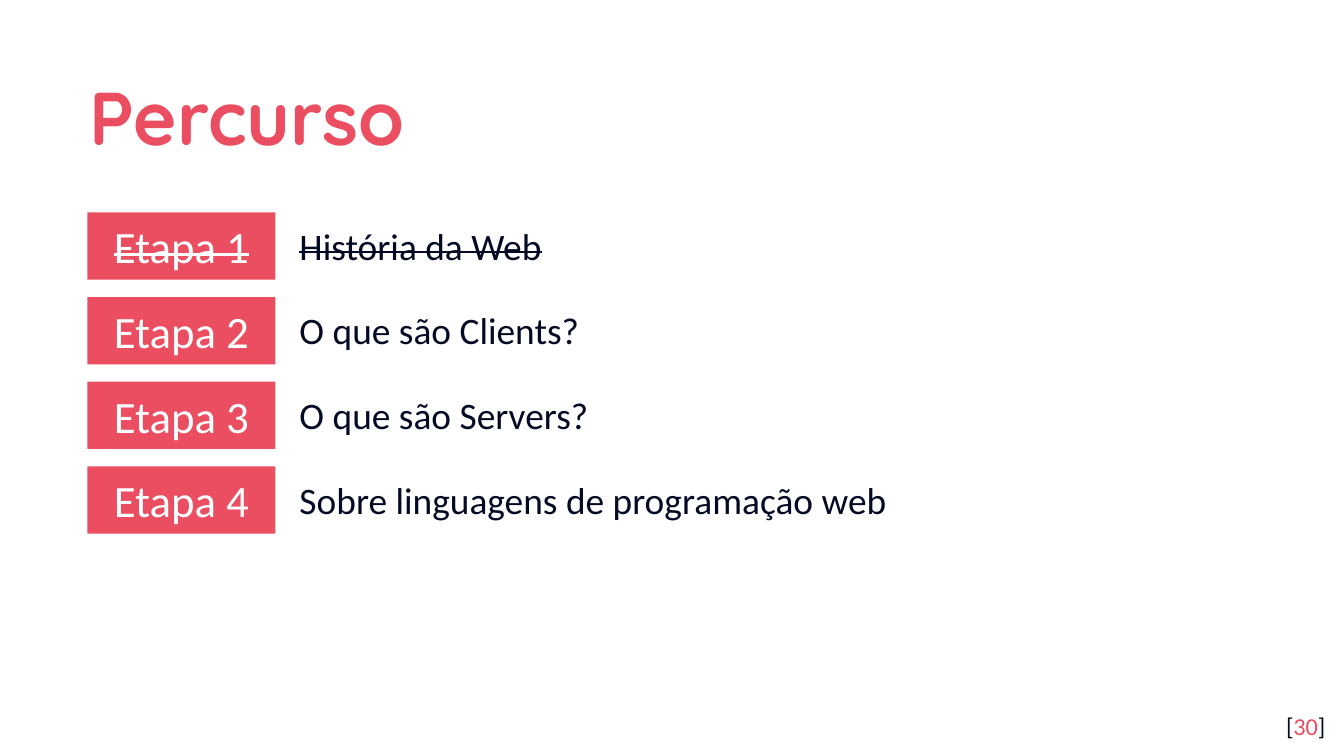
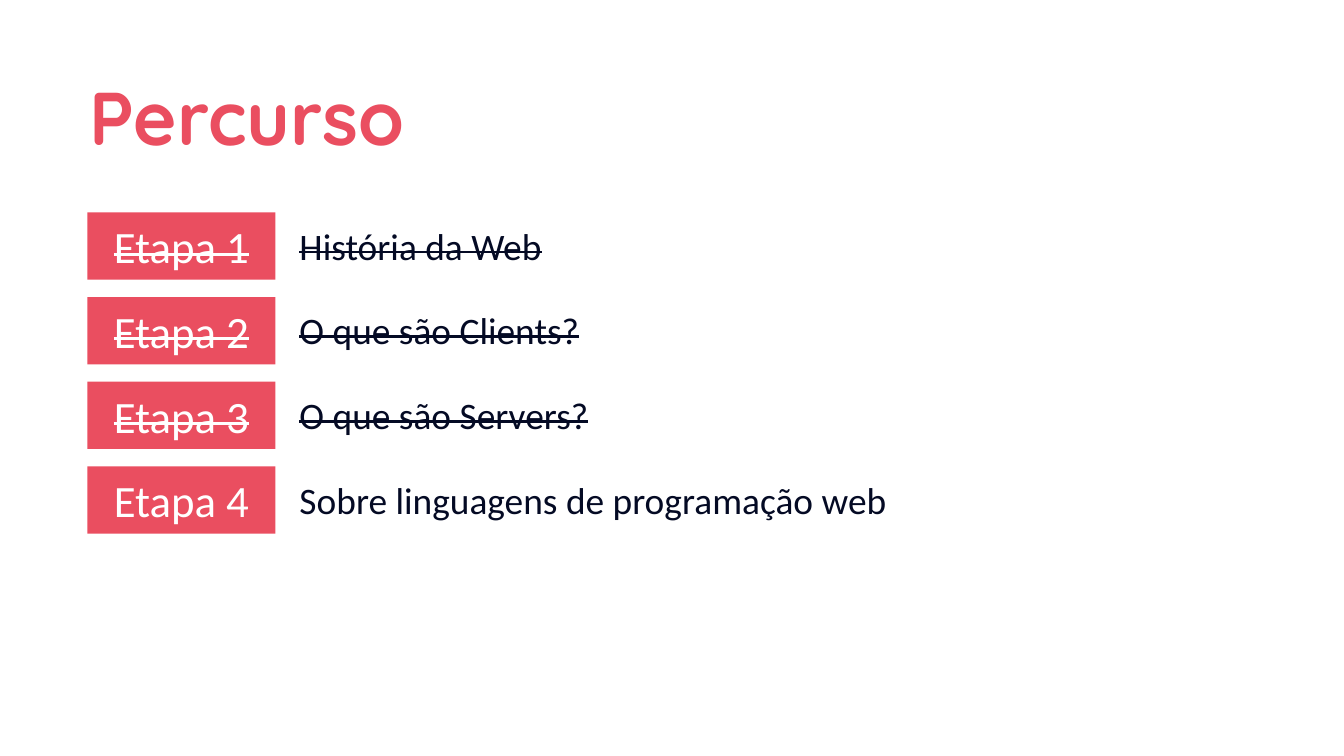
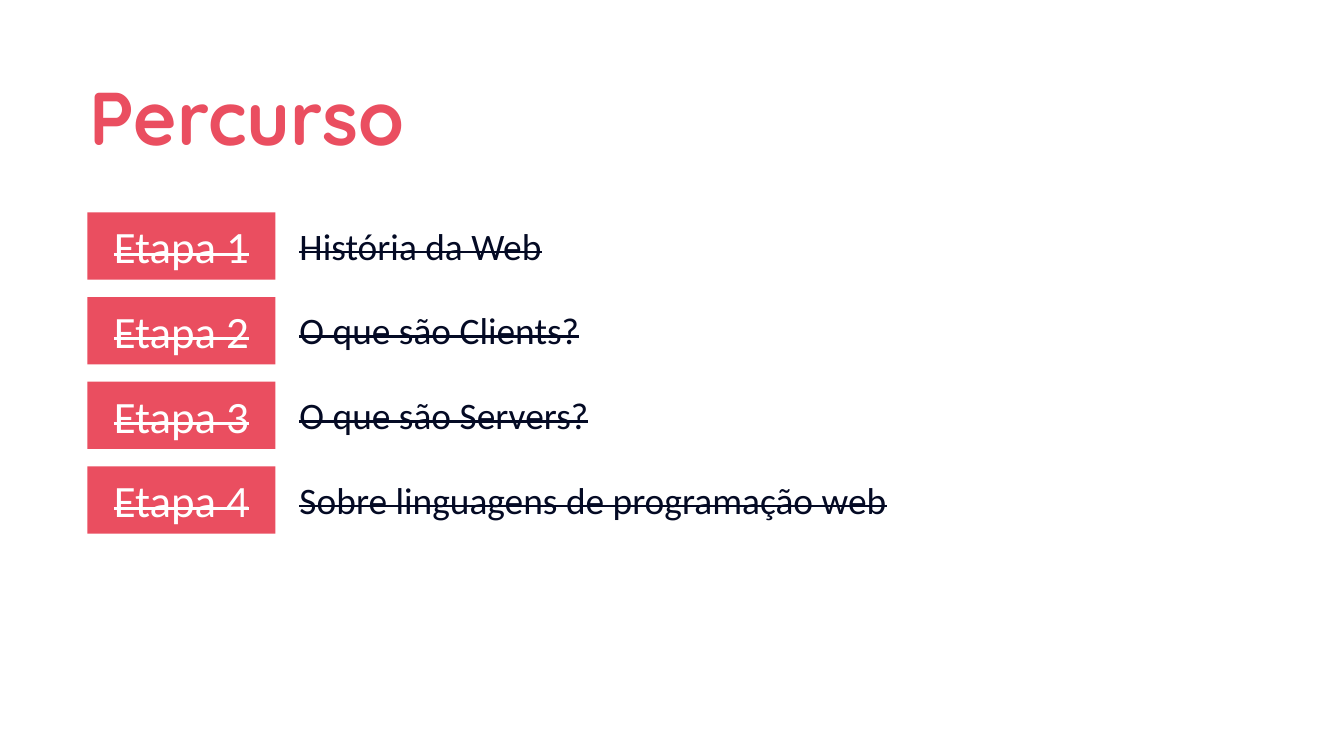
import pptx
import pptx.dml.color
import pptx.enum.shapes
import pptx.enum.text
import pptx.util

SLIDE_WIDTH = pptx.util.Inches(10)
SLIDE_HEIGHT = SLIDE_WIDTH * 9 // 16
CORAL = "EA4E60"
NAVY = "040A24"
WHITE = "FFFFFF"
BODY_FONT = "Calibri"
TITLE_FONT = "Quicksand"
ALIGN = pptx.enum.text.PP_ALIGN
ANCHOR = pptx.enum.text.MSO_ANCHOR
STEP_TOP = 28.1
STEP_PITCH = 11.2
TOPICS = [
    "História da Web",
    "O que são Clients?",
    "O que são Servers?",
    "Sobre linguagens de programação web",
]


def color(value):
    """Return the RGB colour of a hex string."""
    return pptx.dml.color.RGBColor.from_string(value)


def place(left, top, width, height):
    """Turn percentages of the slide's size into lengths."""
    return (
        round(SLIDE_WIDTH * left / 100),
        round(SLIDE_HEIGHT * top / 100),
        round(SLIDE_WIDTH * width / 100),
        round(SLIDE_HEIGHT * height / 100),
    )


def set_frame(shape, anchor, vertical_inset=0.1):
    """Set wrapping, anchor and insets, and return the first paragraph."""
    frame = shape.text_frame
    frame.word_wrap = True
    frame.vertical_anchor = anchor
    frame.margin_left = frame.margin_right = pptx.util.Inches(0.1)
    frame.margin_top = frame.margin_bottom = pptx.util.Inches(vertical_inset)
    return frame.paragraphs[0]


def set_indent(paragraph, left, first_line):
    """Set the left margin and first-line indent in inches."""
    properties = paragraph._p.get_or_add_pPr()
    properties.set("marL", str(pptx.util.Inches(left)))
    properties.set("indent", str(pptx.util.Inches(first_line)))


def format_run(run, size, hex_color, font_name=BODY_FONT, bold=False, struck=False):
    """Set the font of a run."""
    run.font.name = font_name
    run.font.size = pptx.util.Pt(size)
    run.font.bold = bold
    run.font.color.rgb = color(hex_color)
    if struck:
        run._r.get_or_add_rPr().set("strike", "sngStrike")


def add_title(slide, text):
    """Add the slide title."""
    shape = slide.shapes.add_textbox(*place(5.7, 6.2, 81, 16.4))
    paragraph = set_frame(shape, ANCHOR.MIDDLE)
    paragraph.text = text
    paragraph.line_spacing = 1.15
    format_run(paragraph.runs[0], 40, CORAL, TITLE_FONT, bold=True)


def add_step_badge(slide, top, text, struck):
    """Add the coloured rectangle that names a step."""
    shape = slide.shapes.add_shape(
        pptx.enum.shapes.MSO_SHAPE.RECTANGLE, *place(6.5, top, 14, 8.9)
    )
    shape.shadow.inherit = False
    shape.fill.solid()
    shape.fill.fore_color.rgb = color(CORAL)
    shape.line.fill.background()
    paragraph = set_frame(shape, ANCHOR.MIDDLE)
    paragraph.text = text
    paragraph.level = 1
    paragraph.alignment = ALIGN.CENTER
    set_indent(paragraph, 0, 0)
    format_run(paragraph.runs[0], 24, WHITE, struck=struck)


def add_topic(slide, top, text, struck):
    """Add the topic beside a step badge."""
    shape = slide.shapes.add_textbox(*place(21.3, top, 62.9, 7.1))
    paragraph = set_frame(shape, ANCHOR.TOP, 0.05)
    paragraph.text = text
    set_indent(paragraph, 0.5, -0.5)
    format_run(paragraph.runs[0], 20, NAVY, struck=struck)


def add_page_number(slide, number):
    """Add the bracketed page number in the bottom right corner."""
    shape = slide.shapes.add_textbox(*place(93.6, 92.3, 6, 7.6))
    paragraph = set_frame(shape, ANCHOR.TOP)
    paragraph.alignment = ALIGN.RIGHT
    for text, hex_color in (("[", NAVY), (str(number), CORAL), ("]", NAVY)):
        run = paragraph.add_run()
        run.text = text
        format_run(run, 13, hex_color)


def add_route_slide(presentation, finished_steps):
    """Add a route slide with the finished steps struck through."""
    slide = presentation.slides.add_slide(presentation.slide_layouts[6])
    slide.background.fill.solid()
    slide.background.fill.fore_color.rgb = color(WHITE)
    add_title(slide, "Percurso")
    for index, topic in enumerate(TOPICS):
        top = STEP_TOP + index * STEP_PITCH
        struck = index < finished_steps
        add_step_badge(slide, top, f"Etapa {index + 1}", struck)
        add_topic(slide, top + 0.5, topic, struck)
    return slide


def main():
    """Build and save the presentation."""
    presentation = pptx.Presentation()
    presentation.slide_width = SLIDE_WIDTH
    presentation.slide_height = SLIDE_HEIGHT
    first_slide = add_route_slide(presentation, 1)
    add_page_number(first_slide, 30)
    add_route_slide(presentation, 3)
    add_route_slide(presentation, 4)
    presentation.save("out.pptx")


if __name__ == "__main__":
    main()
